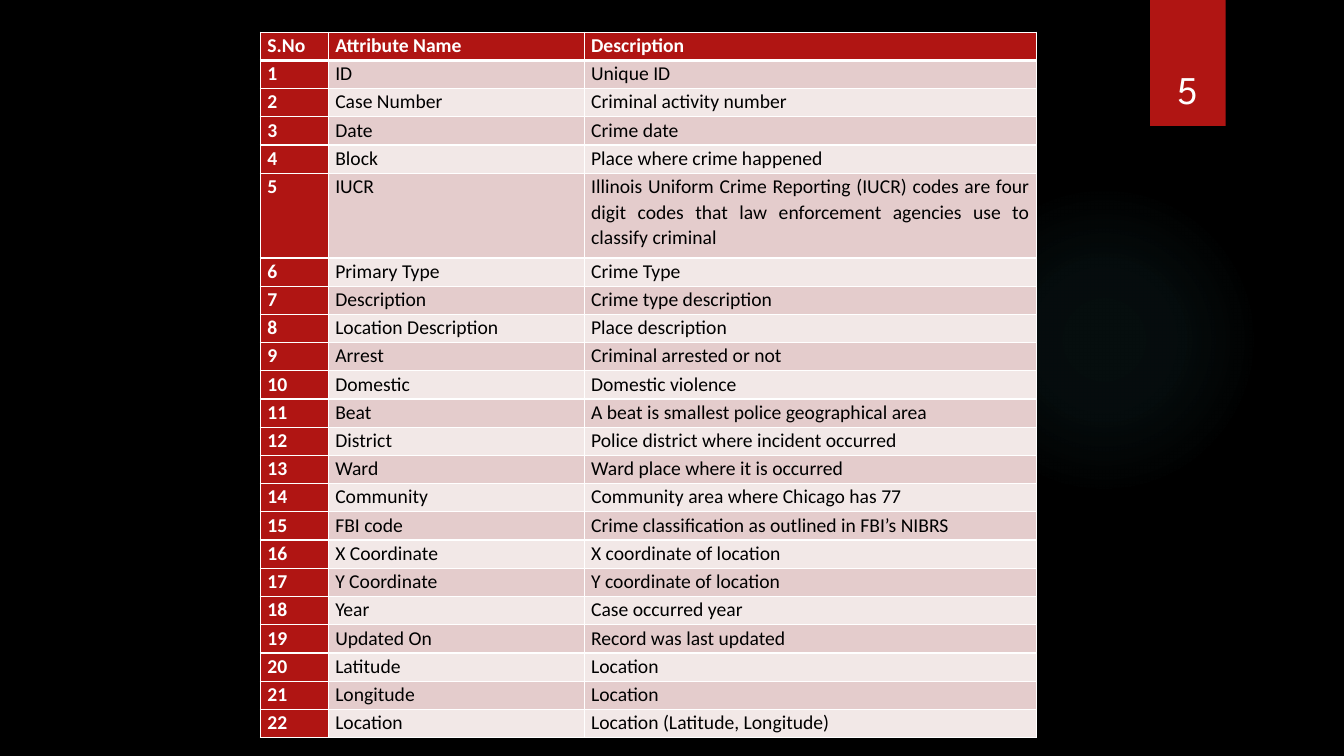
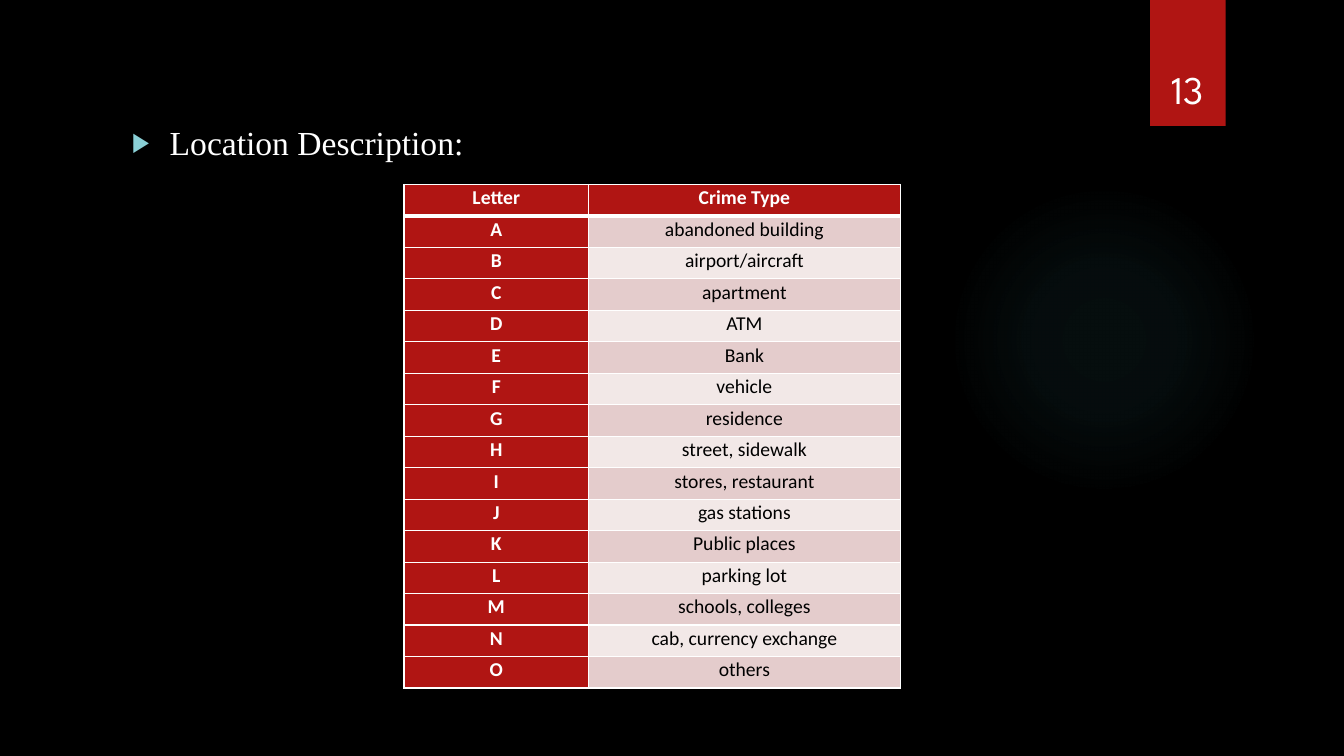
from dataclasses import dataclass
from typing import Any

from lxml import etree
from pptx import Presentation
from pptx.dml.color import RGBColor
from pptx.enum import shapes, text
from pptx.oxml import ns
from pptx.util import Pt

BLACK = RGBColor(0x00, 0x00, 0x00)
WHITE = RGBColor(0xFF, 0xFF, 0xFF)
RED = RGBColor(0xB0, 0x15, 0x13)
ROSE = RGBColor(0xE4, 0xCC, 0xCC)
BLUSH = RGBColor(0xF2, 0xE8, 0xE7)
TEAL = RGBColor(0x50, 0xB9, 0xC1)
AQUA = RGBColor(0x8A, 0xD0, 0xD6)

GLOW_STOPS = ((0, 7), (36, 6), (69, 0))
THIN, THICK = 1, 3
BLANK_LAYOUT, CONTENT_LAYOUT = 6, 1

CELL_FORMAT = {
    "margin_left": Pt(5),
    "margin_right": Pt(5),
    "margin_top": Pt(0),
    "margin_bottom": Pt(0),
    "vertical_anchor": text.MSO_ANCHOR.TOP,
}
HEAD_FONT = {"name": "Calibri", "size": Pt(14), "bold": True}
CELL_FONT = {"name": "Calibri", "size": Pt(14), "bold": False}
NUMBER_FONT = {"name": "League Spartan", "size": Pt(28)}
TOPIC_FONT = {"name": "Times New Roman", "size": Pt(24)}


@dataclass(frozen=True)
class Box:
    left: float
    top: float
    width: float
    height: float

    def lengths(self) -> tuple[Pt, ...]:
        return tuple(map(Pt, (self.left, self.top, self.width, self.height)))


@dataclass(frozen=True)
class Grid:
    left: float
    top: float
    widths: tuple[float, ...]
    row_height: float
    align: text.PP_ALIGN
    rows: list[tuple[str, ...]]
    tall_rows: dict[int, int]


GLOW = Box(677.5, 131.75, 221.75, 221.75)
RIBBON = Box(821.5, 0, 54, 90)
NUMBER = Box(815, 23, 66.25, 60.5)
TOPIC = Box(87, 83.5, 704, 408)

ATTRIBUTES = [
    ("ID", "Unique ID"),
    ("Case Number", "Criminal activity number"),
    ("Date", "Crime date"),
    ("Block", "Place where crime happened"),
    ("IUCR", "Illinois Uniform Crime Reporting (IUCR) codes are four digit codes "
             "that law enforcement agencies use to classify criminal"),
    ("Primary Type", "Crime Type"),
    ("Description", "Crime type description"),
    ("Location Description", "Place description"),
    ("Arrest", "Criminal arrested or not"),
    ("Domestic", "Domestic violence"),
    ("Beat", "A beat is smallest police geographical area"),
    ("District", "Police district where incident occurred"),
    ("Ward", "Ward place where it is occurred"),
    ("Community", "Community area where Chicago has 77"),
    ("FBI code", "Crime classification as outlined in FBI’s NIBRS"),
    ("X Coordinate", "X coordinate of location"),
    ("Y Coordinate", "Y coordinate of location"),
    ("Year", "Case occurred year"),
    ("Updated On", "Record was last updated"),
    ("Latitude", "Location"),
    ("Longitude", "Location"),
    ("Location", "Location (Latitude, Longitude)"),
]
PLACES = [
    "abandoned building", "airport/aircraft", "apartment", "ATM", "Bank",
    "vehicle", "residence", "street, sidewalk", "stores, restaurant",
    "gas stations", "Public places", "parking lot", "schools, colleges",
    "cab, currency exchange", "others",
]

ATTRIBUTE_GRID = Grid(
    186, 23, (48.5, 182.75, 323.25), 20.16, text.PP_ALIGN.JUSTIFY,
    [("S.No", "Attribute Name", "Description")]
    + [(str(number), *pair) for number, pair in enumerate(ATTRIBUTES, 1)],
    {5: 3},
)
PLACE_GRID = Grid(
    288.5, 131.75, (132, 222.5), 22.5, text.PP_ALIGN.CENTER,
    [("Letter", "Crime Type")] + list(zip("ABCDEFGHIJKLMNO", PLACES)),
    {},
)


def apply_format(target: Any, values: dict[str, Any]) -> None:
    for attribute, value in values.items():
        setattr(target, attribute, value)


def add_node(parent: Any, tag: str, **attributes: Any) -> Any:
    values = {key: str(value) for key, value in attributes.items()}
    return etree.SubElement(parent, ns.qn(tag), values)


def add_color(parent: Any, color: RGBColor, alpha: int = 100) -> None:
    node = add_node(parent, "a:srgbClr", val=color)
    if alpha < 100:
        add_node(node, "a:alpha", val=alpha * 1000)


def write(paragraph: Any, words: str, font: dict[str, Any], color: RGBColor) -> None:
    run = paragraph.add_run()
    run.text = words
    apply_format(run.font, font)
    run.font.color.rgb = color


def draw_glow(slide: Any) -> None:
    glow = slide.shapes.add_shape(shapes.MSO_SHAPE.OVAL, *GLOW.lengths())
    glow.shadow.inherit = False
    glow.line.fill.background()
    gradient = etree.Element(ns.qn("a:gradFill"), rotWithShape="1")
    stops = add_node(gradient, "a:gsLst")
    for position, alpha in GLOW_STOPS:
        add_color(add_node(stops, "a:gs", pos=position * 1000), TEAL, alpha)
    circle = add_node(gradient, "a:path", path="circle")
    add_node(circle, "a:fillToRect", l=50000, t=50000, r=50000, b=50000)
    glow.element.spPr.find(ns.qn("a:prstGeom")).addnext(gradient)


def draw_ribbon(slide: Any, number: int) -> None:
    ribbon = slide.shapes.add_shape(shapes.MSO_SHAPE.RECTANGLE, *RIBBON.lengths())
    ribbon.shadow.inherit = False
    ribbon.fill.solid()
    ribbon.fill.fore_color.rgb = RED
    ribbon.line.fill.background()
    effects = ribbon.element.spPr.find(ns.qn("a:effectLst"))
    shadow = add_node(effects, "a:outerShdw", blurRad=Pt(3), dist=Pt(2), dir=5400000)
    add_color(shadow, BLACK, 45)

    frame = slide.shapes.add_textbox(*NUMBER.lengths()).text_frame
    apply_format(frame, {"word_wrap": True, "vertical_anchor": text.MSO_ANCHOR.BOTTOM})
    frame.paragraphs[0].alignment = text.PP_ALIGN.CENTER
    write(frame.paragraphs[0], str(number), NUMBER_FONT, WHITE)


def draw_borders(cell: Any, widths: dict[str, int]) -> None:
    properties = cell._tc.get_or_add_tcPr()
    for side, width in widths.items():
        line = add_node(properties, f"a:ln{side}", w=Pt(width))
        add_color(add_node(line, "a:solidFill"), WHITE)


def draw_grid(slide: Any, grid: Grid) -> None:
    heights = [grid.row_height * grid.tall_rows.get(row, 1) for row in range(len(grid.rows))]
    box = Box(grid.left, grid.top, sum(grid.widths), sum(heights))
    table = slide.shapes.add_table(
        len(grid.rows), len(grid.widths), *box.lengths()
    ).table
    table.horz_banding = False
    for column, width in zip(table.columns, grid.widths):
        column.width = Pt(width)
    for row, height in zip(table.rows, heights):
        row.height = Pt(height)

    for row, entries in enumerate(grid.rows):
        for column, words in enumerate(entries):
            is_head = row == 0 or column == 0
            cell = table.cell(row, column)
            apply_format(cell, CELL_FORMAT)
            draw_borders(cell, {
                "L": THIN,
                "R": THIN,
                "T": THICK if row == 1 else THIN,
                "B": THICK if row == 0 else THIN,
            })
            cell.fill.solid()
            cell.fill.fore_color.rgb = RED if is_head else ROSE if row % 2 else BLUSH
            paragraph = cell.text_frame.paragraphs[0]
            apply_format(paragraph, {"alignment": grid.align, "line_spacing": 1.07})
            write(paragraph, words, HEAD_FONT if is_head else CELL_FONT,
                  WHITE if is_head else BLACK)


def write_topic(slide: Any, words: str) -> None:
    heading = slide.shapes.title.element
    heading.getparent().remove(heading)
    topic = slide.placeholders[1]
    apply_format(topic, dict(zip(("left", "top", "width", "height"), TOPIC.lengths())))
    topic.text_frame.auto_size = text.MSO_AUTO_SIZE.NONE
    paragraph = topic.text_frame.paragraphs[0]
    write(paragraph, words, TOPIC_FONT, WHITE)
    properties = paragraph._p.get_or_add_pPr()
    properties.set("marL", str(Pt(27)))
    properties.set("indent", str(-Pt(27)))
    add_color(add_node(properties, "a:buClr"), AQUA)
    add_node(properties, "a:buSzPct", val=80000)
    add_node(properties, "a:buChar", char="▶")
    paragraph.space_before = Pt(10)


def start_slide(deck: Any, layout: int, number: int) -> Any:
    slide = deck.slides.add_slide(deck.slide_layouts[layout])
    draw_glow(slide)
    draw_ribbon(slide, number)
    return slide


def main() -> None:
    deck = Presentation()
    apply_format(deck, {"slide_width": Pt(960), "slide_height": Pt(540)})
    backdrop = deck.slide_master.background.fill
    backdrop.solid()
    backdrop.fore_color.rgb = BLACK

    attributes = start_slide(deck, BLANK_LAYOUT, 5)
    draw_grid(attributes, ATTRIBUTE_GRID)

    places = start_slide(deck, CONTENT_LAYOUT, 13)
    write_topic(places, "Location Description:")
    draw_grid(places, PLACE_GRID)

    deck.save("out.pptx")


if __name__ == "__main__":
    main()
